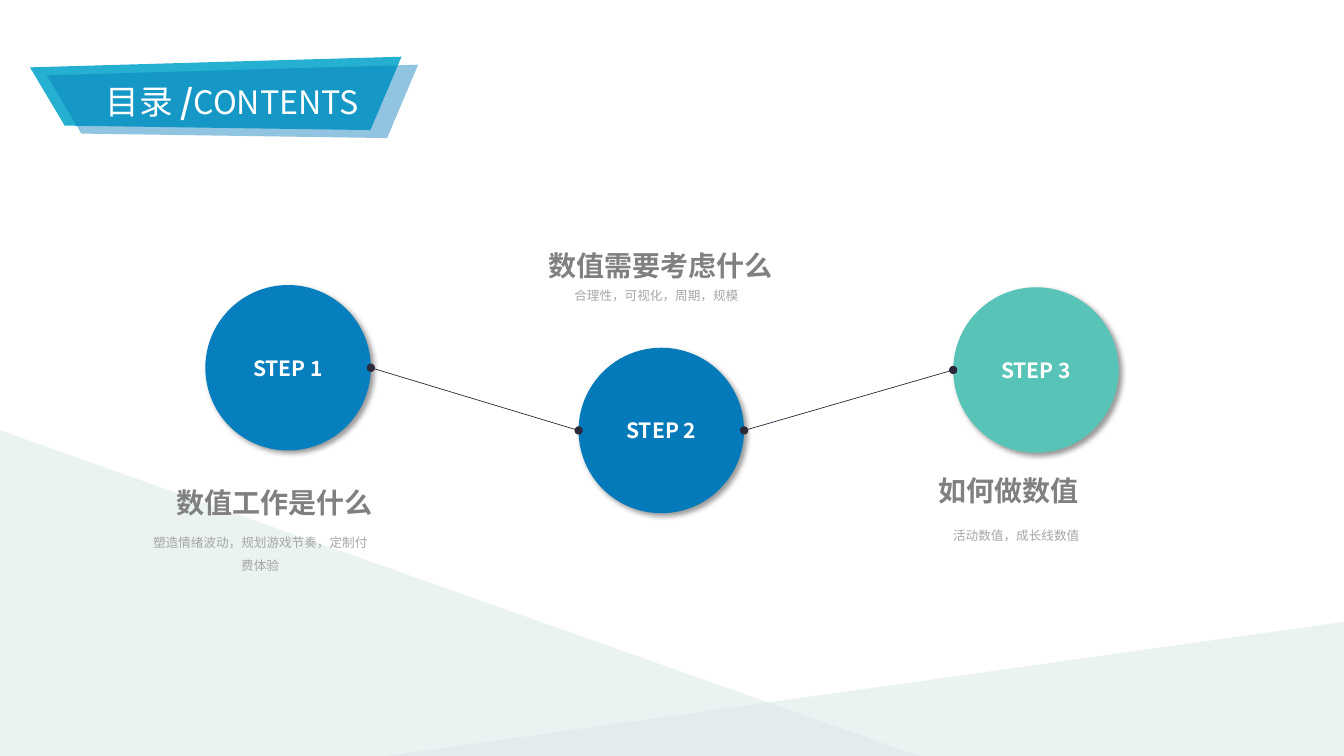
from dataclasses import dataclass
from itertools import pairwise

from lxml.etree import SubElement
from pptx import Presentation
from pptx.dml.color import RGBColor
from pptx.enum.shapes import MSO_CONNECTOR, MSO_SHAPE
from pptx.enum.text import MSO_ANCHOR, PP_ALIGN
from pptx.oxml.ns import qn
from pptx.util import Pt


@dataclass(frozen=True)
class Theme:
    sans: str = "Noto Sans CJK SC"
    body: str = "Arial"
    white: str = "FFFFFF"
    mist: str = "DDE9E8"
    cyan: str = "25B0D2"
    blue: str = "047ABA"
    azure: str = "077FBF"
    teal: str = "58C4B8"
    ink: str = "2B2939"
    head: str = "808080"
    note: str = "A6A6A6"
    title_size: int = 24
    latin_size: int = 23
    step_size: int = 15
    head_size: int = 20
    note_size: int = 9


THEME = Theme()
DISC = 118.2

# step label, disc place, colour, heading with place, note with place
STEPS = [
    ("STEP 1", (146.7, 203.6), THEME.azure,
     "数值工作是什么", (126, 347), "塑造情绪波动，规划游戏节奏，定制付费体验", (107.3, 376.6)),
    ("STEP 2", (413.3, 248.4), THEME.blue,
     "数值需要考虑什么", (391.7, 177.8), "合理性，可视化，周期，规模", (390.2, 200.2)),
    ("STEP 3", (680.9, 205.2), THEME.teal,
     "如何做数值", (670.3, 338.4), "活动数值，成长线数值", (647.3, 371.5)),
]


def style(para, name, color, size=None, bold=None):
    font = para.font
    font.name, font.bold = name, bold
    font.color.rgb = RGBColor.from_string(color)
    if size:
        font.size = Pt(size)
    SubElement(font._element, qn("a:ea"), typeface=name)


def paint(shape, color, alpha=100):
    """Fill a shape without outline or shadow; alpha is opacity in percent."""
    shape.shadow.inherit = False
    shape.line.fill.background()
    shape.fill.solid()
    shape.fill.fore_color.rgb = RGBColor.from_string(color)
    if alpha < 100:
        tint = shape.fill._xPr.find(".//" + qn("a:srgbClr"))
        SubElement(tint, qn("a:alpha"), val=str(alpha * 1000))


def add_slope(slide, left, top, width, height, flip=False):
    slope = slide.shapes.add_shape(
        MSO_SHAPE.RIGHT_TRIANGLE, Pt(left), Pt(top), Pt(width), Pt(height))
    paint(slope, THEME.mist, 56)
    if flip:
        slope._element.spPr.find(qn("a:xfrm")).set("flipH", "1")


def add_band(slide, left, top, color, alpha=100):
    corners = [(0, 7.6), (24.8, 49.2), (243.2, 52.4), (265.4, 0)]
    spots = [(Pt(left + x), Pt(top + y)) for x, y in corners]
    path = slide.shapes.build_freeform(*spots[0])
    path.add_line_segments(spots[1:], close=True)
    paint(path.convert_to_shape(), color, alpha)


def set_title(slide, left, top, width, height):
    title = slide.shapes.title
    title.left, title.top = Pt(left), Pt(top)
    title.width, title.height = Pt(width), Pt(height)
    frame = title.text_frame
    frame.vertical_anchor = MSO_ANCHOR.MIDDLE
    para = frame.paragraphs[0]
    para.alignment = PP_ALIGN.CENTER
    style(para, THEME.sans, THEME.white)
    for text, size, bold in [("目录 ", THEME.title_size, False),
                             ("/", THEME.title_size, True),
                             ("CONTENTS", THEME.latin_size, False)]:
        run = para.add_run()
        run.text = text
        run.font.size, run.font.bold = Pt(size), bold
    # Bring the title in front of the bands
    title._element.getparent().append(title._element)


def add_disc(slide, text, left, top, color):
    disc = slide.shapes.add_shape(
        MSO_SHAPE.OVAL, Pt(left), Pt(top), Pt(DISC), Pt(DISC))
    paint(disc, color)
    glow = SubElement(
        disc._element.spPr.find(qn("a:effectLst")), qn("a:outerShdw"),
        blurRad=str(Pt(4)), dist=str(Pt(3)), dir=str(45 * 60000),
        algn="tl", rotWithShape="0")
    tint = SubElement(glow, qn("a:srgbClr"), val="000000")
    SubElement(tint, qn("a:alpha"), val="40000")
    frame = disc.text_frame
    frame.vertical_anchor = MSO_ANCHOR.MIDDLE
    para = frame.paragraphs[0]
    para.text, para.alignment = text, PP_ALIGN.CENTER
    style(para, THEME.sans, THEME.white, THEME.step_size, True)


def add_link(slide, start, end):
    """Join the right edge of one disc to the left edge of the next."""
    link = slide.shapes.add_connector(
        MSO_CONNECTOR.STRAIGHT,
        Pt(start[0] + DISC), Pt(start[1] + DISC / 2),
        Pt(end[0]), Pt(end[1] + DISC / 2))
    link.line.width = Pt(0.5)
    link.line.color.rgb = RGBColor.from_string(THEME.ink)
    for tag in ("a:headEnd", "a:tailEnd"):
        SubElement(link.line._ln, qn(tag), type="oval")
    SubElement(link._element.spPr, qn("a:effectLst"))


def add_text(slide, text, left, top, width, height):
    box = slide.shapes.add_textbox(Pt(left), Pt(top), Pt(width), Pt(height))
    frame = box.text_frame
    frame.word_wrap = True
    frame.margin_left = frame.margin_right = 0
    frame.margin_top = frame.margin_bottom = 0
    para = frame.paragraphs[0]
    para.text = text
    return para


def add_head(slide, text, left, top):
    para = add_text(slide, text, left, top, 192, 24.2)
    style(para, THEME.sans, THEME.head, THEME.head_size, True)


def add_note(slide, text, left, top):
    para = add_text(slide, text, left, top, 157, 15)
    para.alignment, para.line_spacing = PP_ALIGN.CENTER, 1.5
    style(para, THEME.body, THEME.note, THEME.note_size)


def main():
    deck = Presentation()
    deck.slide_width, deck.slide_height = Pt(960), Pt(540)
    slide = deck.slides.add_slide(deck.slide_layouts[5])
    add_slope(slide, 275.8, 443.5, 689, 96.5, flip=True)
    add_slope(slide, 0, 307.4, 656.6, 232.6)
    add_band(slide, 21.4, 40.5, THEME.cyan)
    add_band(slide, 33.3, 46.2, THEME.blue, 44)
    set_title(slide, 33.3, 46.2, 265.4, 52.4)
    for label, place, color, head, head_at, note, note_at in STEPS:
        add_disc(slide, label, *place, color)
        add_head(slide, head, *head_at)
        add_note(slide, note, *note_at)
    for here, after in pairwise(STEPS):
        add_link(slide, here[1], after[1])
    deck.save("out.pptx")


if __name__ == "__main__":
    main()
